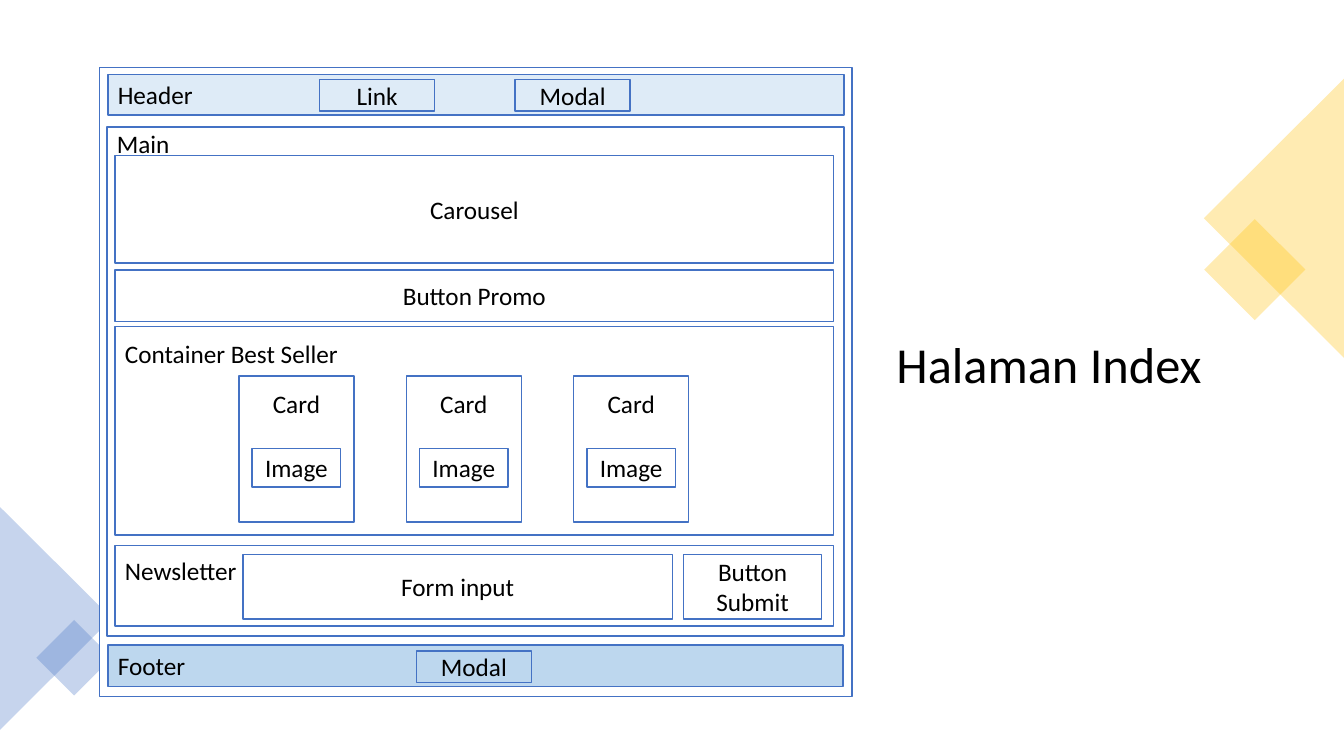
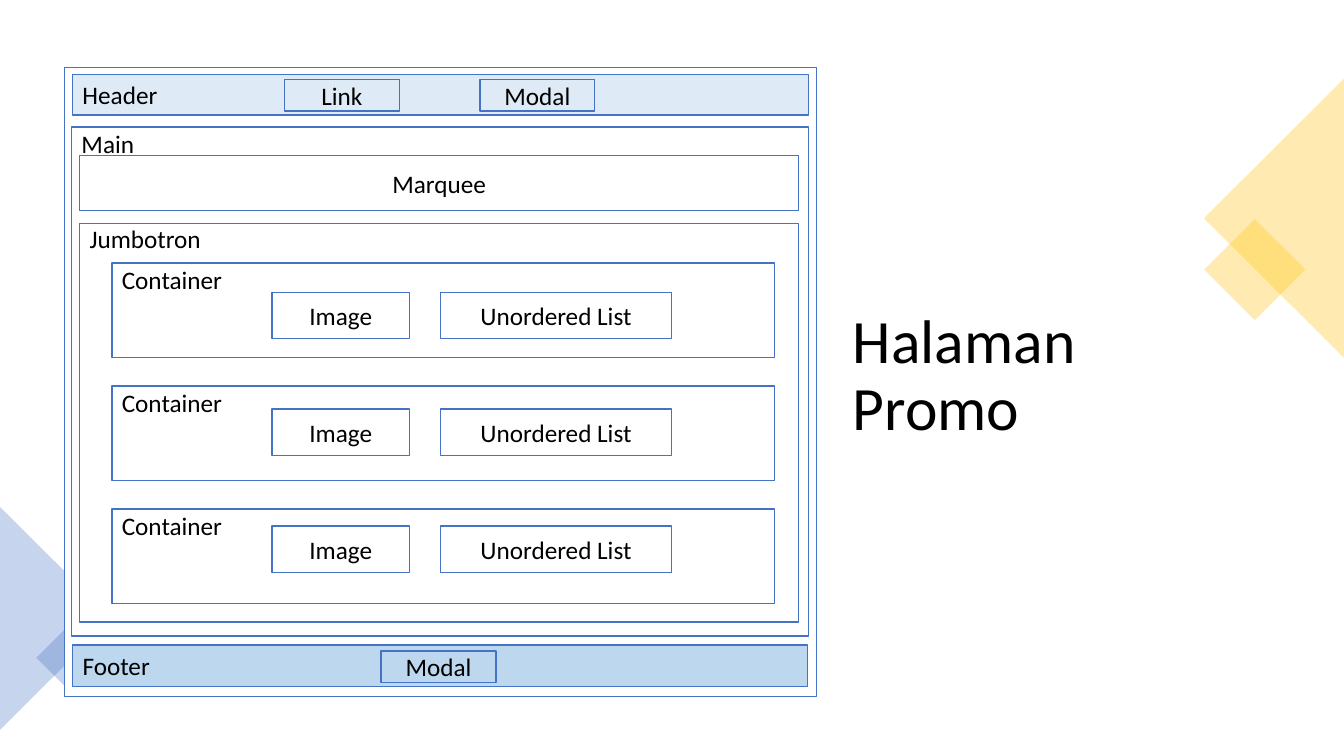
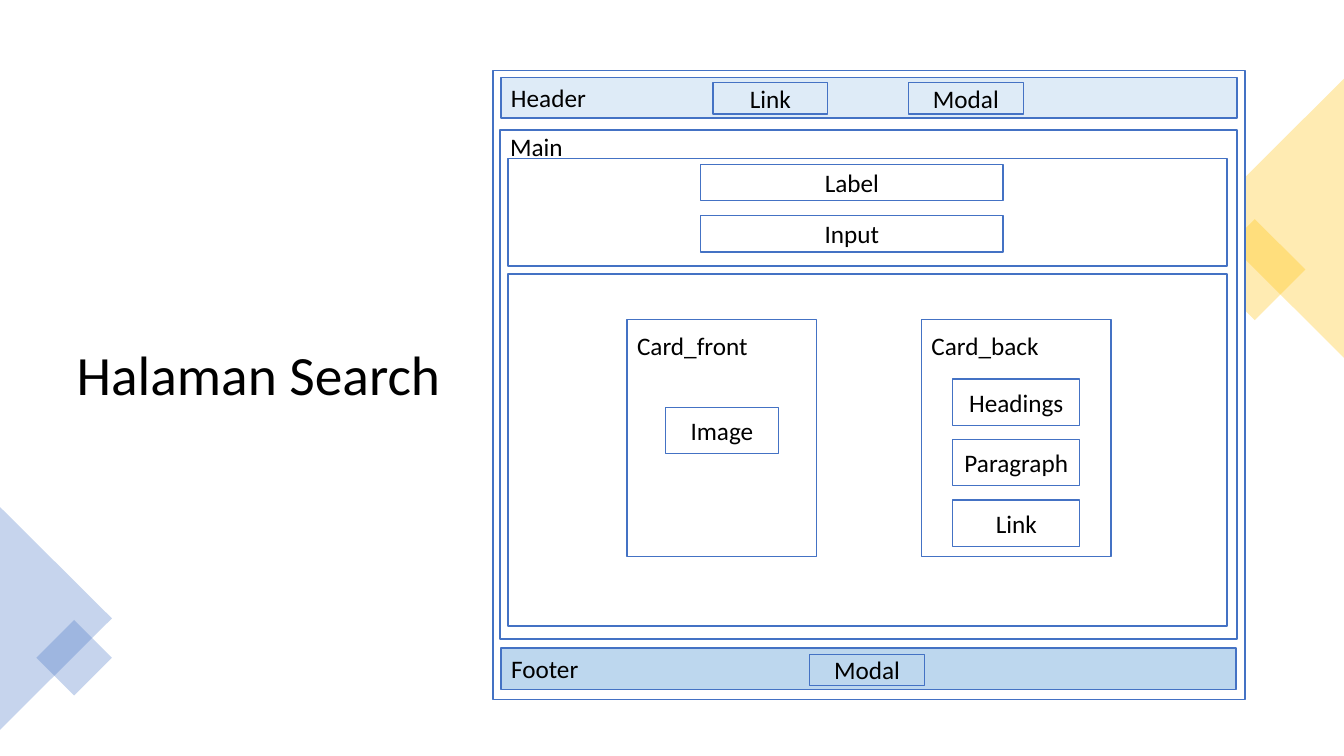
import dataclasses

import lxml.etree
import pptx
import pptx.dml.color
import pptx.enum.shapes
import pptx.enum.text
import pptx.oxml.ns
import pptx.util

Inches = pptx.util.Inches
Pt = pptx.util.Pt
RECTANGLE = pptx.enum.shapes.MSO_SHAPE.RECTANGLE
TRIANGLE = pptx.enum.shapes.MSO_SHAPE.ISOSCELES_TRIANGLE
ALIGN = pptx.enum.text.PP_ALIGN
ANCHOR = pptx.enum.text.MSO_ANCHOR


@dataclasses.dataclass(frozen=True)
class Theme:
    font: str = "Calibri"
    text: str = "000000"
    paper: str = "FFFFFF"
    blue: str = "4472C4"
    gold: str = "FFC000"
    header: str = "DEEBF7"
    footer: str = "BDD7EE"
    label_size: float = 18
    line_width: float = 1
    opacity: int = 30


THEME = Theme()


@dataclasses.dataclass(frozen=True)
class Box:
    """A wireframe box, placed relative to the page frame."""
    text: str
    left: float
    top: float
    width: float
    height: float
    fill: str = THEME.paper
    align: int = ALIGN.CENTER
    caption_inset: float | None = None  # set: text sits at the top


def band(text, top, height, **options):
    """A box across the main area."""
    return Box(text, 0.15, top, 7.13, height, **options)


def captioned(inset):
    return {"align": ALIGN.LEFT, "caption_inset": inset}


# Content shared by every page
DECORATIONS = [  # shape, left, top, width, height, rotation, colour
    (RECTANGLE, 12.09, 2.32, 0.71, 0.71, 45, THEME.gold),
    (TRIANGLE, 11.25, 1.47, 2.77, 1.39, 270, THEME.gold),
    (TRIANGLE, -0.55, 5.58, 2.21, 1.11, 90, THEME.blue),
    (RECTANGLE, 0.47, 6.26, 0.53, 0.53, 45, THEME.blue),
]
PAGE_FRAME = [
    Box("", 0, 0, 7.46, 6.24),
    Box("Header", 0.08, 0.07, 7.3, 0.4, THEME.header, ALIGN.LEFT),
    Box("Link", 2.18, 0.12, 1.14, 0.31, THEME.header),
    Box("Modal", 4.12, 0.12, 1.14, 0.31, THEME.header),
    Box("Main", 0.07, 0.59, 7.31, 5.05, **captioned(0.01)),
    Box("Footer", 0.08, 5.73, 7.29, 0.41, THEME.footer, ALIGN.LEFT),
    Box("Modal", 3.14, 5.79, 1.14, 0.31, THEME.footer),
]

# Content of each page
index_boxes = [
    band("Carousel", 0.87, 1.07),
    band("Button Promo", 2.01, 0.51),
    band("Container Best Seller", 2.57, 2.07, **captioned(0.12)),
    band("Newsletter", 4.74, 0.8, **captioned(0.1)),
    Box("Form input", 1.42, 4.83, 4.26, 0.64),
    Box("Button Submit", 5.79, 4.83, 1.37, 0.64),
]
for column in range(3):
    card_left = 1.38 + 1.66 * column
    index_boxes += [
        Box("Card", card_left, 3.06, 1.14, 1.45, caption_inset=0.12),
        Box("Image", card_left + 0.13, 3.78, 0.88, 0.38),
    ]

promo_boxes = [
    band("Marquee", 0.87, 0.55),
    band("Jumbotron", 1.55, 3.95, **captioned(0)),
]
for row in range(3):
    item_top = 2.23 + 1.16 * row
    promo_boxes += [
        Box("Container", 0.47, 1.94 + 1.22 * row, 6.57, 0.94, **captioned(0.01)),
        Box("Image", 2.06, item_top, 1.36, 0.46),
        Box("Unordered List", 3.73, item_top, 2.29, 0.46),
    ]

search_boxes = [
    band("", 0.87, 1.07),
    band("", 2.02, 3.49),
    Box("Label", 2.06, 0.93, 3, 0.36),
    Box("Input", 2.06, 1.44, 3, 0.36),
    Box("Card_front", 1.33, 2.47, 1.88, 2.35, **captioned(0.11)),
    Box("Image", 1.71, 3.34, 1.12, 0.46),
    Box("Card_back", 4.25, 2.47, 1.88, 2.35, **captioned(0.11)),
]
for row, field in enumerate(["Headings", "Paragraph", "Link"]):
    search_boxes.append(Box(field, 4.56, 3.06 + 0.6 * row, 1.26, 0.46))

PAGES = [  # title, title area, title size, frame corner, boxes
    ("Halaman Index", (8.79, 3.02, 3.94, 1.24), 36, (0.99, 0.67), index_boxes),
    ("Halaman Promo", (8.36, 3.36, 4.15, 0.76), 44, (0.64, 0.67), promo_boxes),
    ("Halaman Search", (0.66, 3.44, 3.97, 0.62), 39.6, (4.89, 0.7), search_boxes),
]


def rgb(value):
    return pptx.dml.color.RGBColor.from_string(value)


def write(text_frame, text, size, align, anchor):
    text_frame.text = text
    text_frame.word_wrap = True
    text_frame.vertical_anchor = anchor
    paragraph = text_frame.paragraphs[0]
    paragraph.alignment = align
    paragraph.font.name = THEME.font
    paragraph.font.size = Pt(size)
    paragraph.font.color.rgb = rgb(THEME.text)
    return paragraph


def add_filled(shapes, kind, area, colour):
    shape = shapes.add_shape(kind, *map(Inches, area))
    shape.shadow.inherit = False
    shape.fill.solid()
    shape.fill.fore_color.rgb = rgb(colour)
    return shape


def add_decorations(slide):
    for kind, *area, rotation, colour in DECORATIONS:
        shape = add_filled(slide.shapes, kind, area, colour)
        shape.rotation = rotation
        shape.line.fill.background()
        qn = pptx.oxml.ns.qn
        colour_element = shape.fill._xPr.find(qn("a:solidFill")).find(qn("a:srgbClr"))
        alpha = lxml.etree.SubElement(colour_element, qn("a:alpha"))
        alpha.set("val", str(THEME.opacity * 1000))


def add_title(slide, text, area, size):
    title = slide.shapes.title
    title.left, title.top, title.width, title.height = map(Inches, area)
    paragraph = write(title.text_frame, text, size, ALIGN.LEFT, ANCHOR.MIDDLE)
    paragraph.line_spacing = 0.9
    title.text_frame.auto_size = pptx.enum.text.MSO_AUTO_SIZE.NONE


def add_box(shapes, box, corner):
    area = (corner[0] + box.left, corner[1] + box.top, box.width, box.height)
    shape = add_filled(shapes, RECTANGLE, area, box.fill)
    shape.line.color.rgb = rgb(THEME.blue)
    shape.line.width = Pt(THEME.line_width)
    if not box.text:
        return
    anchor = ANCHOR.MIDDLE
    if box.caption_inset is not None:
        anchor = ANCHOR.TOP
        shape.text_frame.margin_top = Inches(box.caption_inset)
    write(shape.text_frame, box.text, THEME.label_size, box.align, anchor)


def main():
    presentation = pptx.Presentation()
    presentation.slide_width = Inches(13.33)
    presentation.slide_height = Inches(7.5)
    title_only = presentation.slide_layouts[5]
    for title, title_area, title_size, corner, boxes in PAGES:
        slide = presentation.slides.add_slide(title_only)
        add_title(slide, title, title_area, title_size)
        add_decorations(slide)
        wireframe = slide.shapes.add_group_shape()
        for box in PAGE_FRAME + boxes:
            add_box(wireframe.shapes, box, corner)
    presentation.save("out.pptx")


if __name__ == "__main__":
    main()
